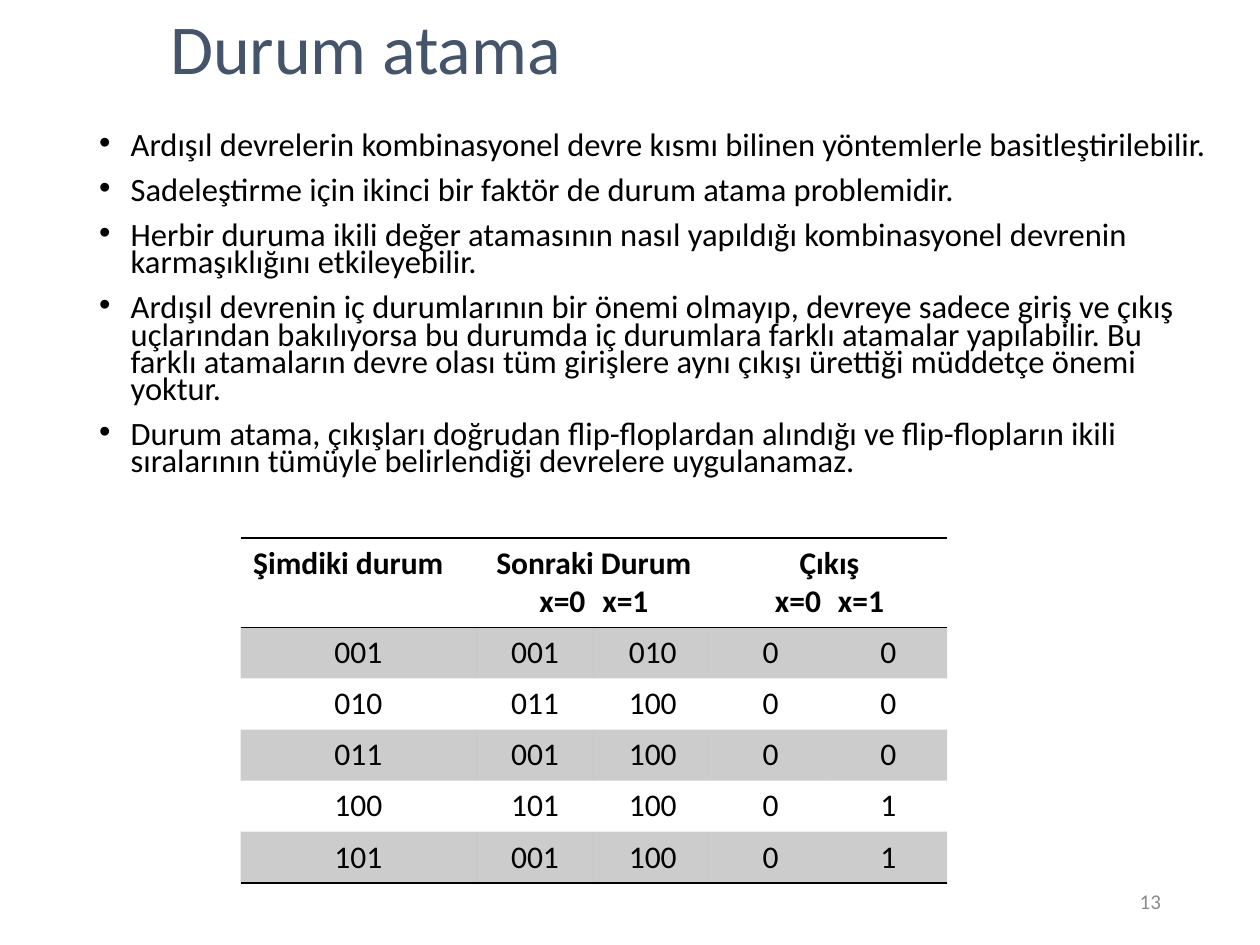
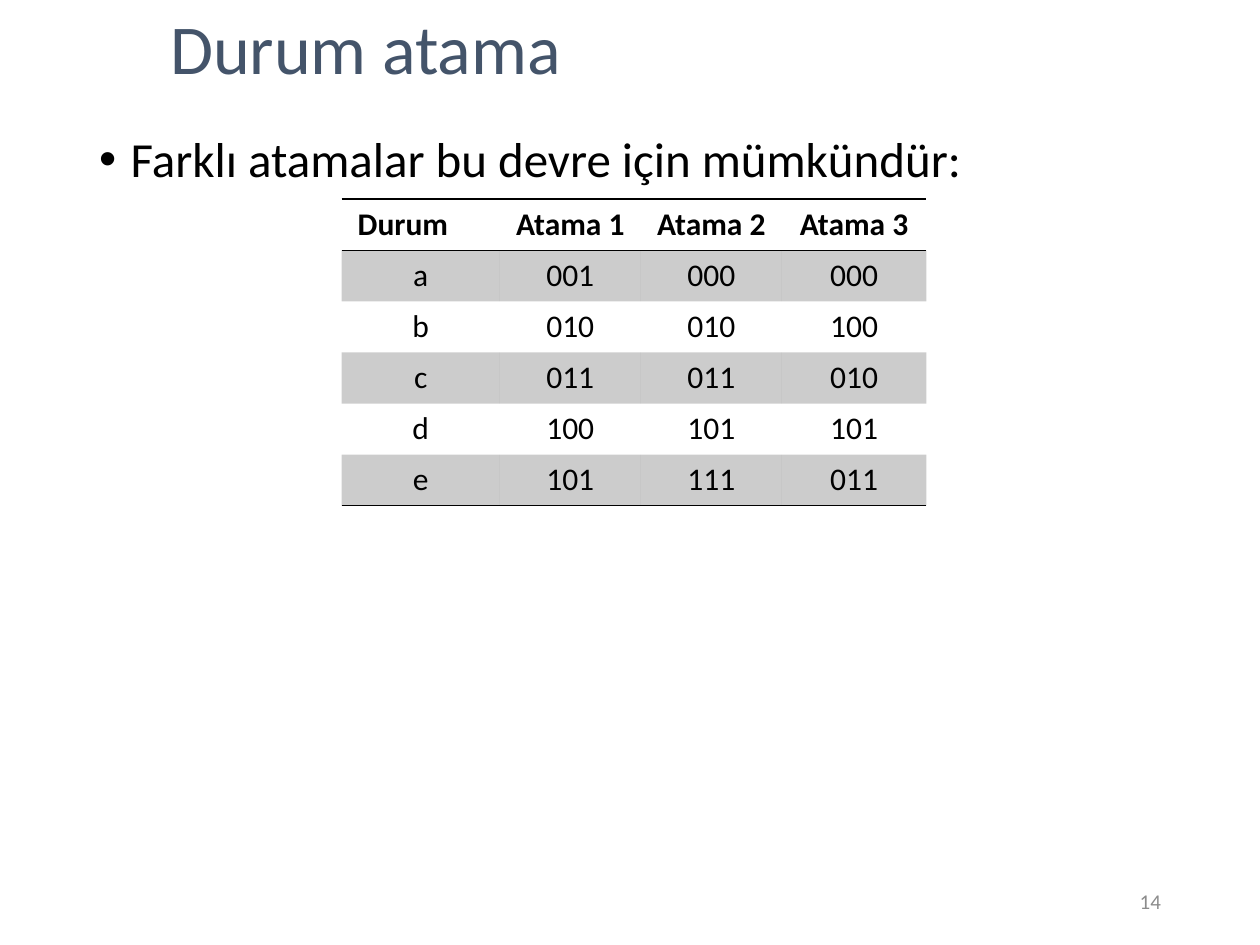
"""Build two slides on state assignment in sequential circuits."""
from lxml import etree
from pptx import Presentation
from pptx.dml.color import RGBColor
from pptx.enum.text import MSO_ANCHOR, MSO_AUTO_SIZE, PP_ALIGN
from pptx.oxml.ns import qn
from pptx.util import Pt

LEFT, CENTER, RIGHT = PP_ALIGN.LEFT, PP_ALIGN.CENTER, PP_ALIGN.RIGHT
TOP, MIDDLE, BOTTOM = MSO_ANCHOR.TOP, MSO_ANCHOR.MIDDLE, MSO_ANCHOR.BOTTOM
NO_FIT = MSO_AUTO_SIZE.NONE

FONT = "Calibri"
COLORS = {"title": "44546A", "text": "000000", "number": "8C8C8C"}
NO_STYLE = "{2D5ABB26-0587-4C30-8999-92F81FD0307C}"
TITLE_BOX = (90, 5.76, 612, 48.24)
NUMBER_BOX = (508.5, 500.5, 162, 28.75)
ROW_H = 29.2
INDENT = 18

SLIDES = [
    {
        "title": "Durum atama",
        "number": "13",
        "bullets": [
            "Ardışıl devrelerin kombinasyonel devre kısmı bilinen yöntemlerle basitleştirilebilir.",
            "Sadeleştirme için ikinci bir faktör de durum atama problemidir.",
            "Herbir duruma ikili değer atamasının nasıl yapıldığı kombinasyonel devrenin "
            "karmaşıklığını etkileyebilir.",
            "Ardışıl devrenin iç durumlarının bir önemi olmayıp, devreye sadece giriş ve çıkış "
            "uçlarından bakılıyorsa bu durumda iç durumlara farklı atamalar yapılabilir. Bu farklı "
            "atamaların devre olası tüm girişlere aynı çıkışı ürettiği müddetçe önemi yoktur.",
            "Durum atama, çıkışları doğrudan flip-floplardan alındığı ve flip-flopların ikili "
            "sıralarının tümüyle belirlendiği devrelere uygulanamaz.",
        ],
        "body": {"box": (49.5, 73.5, 652.5, 224), "size": 18.6, "spacing": 0.7},
        "table": {
            "at": (137.5, 307.3),
            "cols": [134.6, 67.3, 67.3, 67.3, 67.3],
            "header_h": 51.2,
            "merges": [(1, 2), (3, 4)],
            "rows": [
                ["Şimdiki durum\t", "Sonraki Durum\nx=0\tx=1", "", "Çıkış\nx=0\tx=1", ""],
                ["001", "001", "010", "0", "0"],
                ["010", "011", "100", "0", "0"],
                ["011", "001", "100", "0", "0"],
                ["100", "101", "100", "0", "1"],
                ["101", "001", "100", "0", "1"],
            ],
        },
    },
    {
        "title": "Durum atama",
        "number": "14",
        "bullets": ["Farklı atamalar bu devre için mümkündür:"],
        "body": {"box": (49.5, 73.5, 625.5, 420), "size": 28, "spacing": 0.9},
        "table": {
            "at": (195.2, 113.8),
            "cols": [90.4, 80.6, 80.6, 82.6],
            "header_h": ROW_H,
            "merges": [],
            "rows": [
                ["Durum\t", "Atama 1", "Atama 2", "Atama 3"],
                ["a", "001", "000", "000"],
                ["b", "010", "010", "100"],
                ["c", "011", "011", "010"],
                ["d", "100", "101", "101"],
                ["e", "101", "111", "011"],
            ],
        },
    },
]


def place(sp, box):
    sp.left, sp.top, sp.width, sp.height = map(Pt, box)


def write(tf, text, size=18, color="text", bold=False, align=LEFT, anchor=TOP,
          spacing=None, before=0, indent=0):
    tf.word_wrap = True
    tf.vertical_anchor = anchor
    tf.auto_size = NO_FIT
    for i, line in enumerate(text.split("\n")):
        p = tf.paragraphs[0] if i == 0 else tf.add_paragraph()
        p.alignment = align
        p.space_before = Pt(before)
        if spacing:
            p.line_spacing = spacing
        if indent:
            pPr = p._p.get_or_add_pPr()
            pPr.set("marL", str(Pt(indent)))
            pPr.set("indent", str(Pt(-indent)))
        r = p.add_run()
        r.text = line
        r.font.name, r.font.size, r.font.bold = FONT, Pt(size), bold
        r.font.color.rgb = RGBColor.from_string(COLORS[color])


def shade(cell, percent):
    cell.fill.solid()
    cell.fill.fore_color.rgb = RGBColor.from_string(COLORS["text"])
    clr = cell._tc.tcPr.find(".//" + qn("a:srgbClr"))
    etree.SubElement(clr, qn("a:alpha"), val=str(percent * 1000))


def rule(cell, sides):
    for i, side in enumerate(sides):
        ln = etree.Element(qn("a:ln" + side), w=str(Pt(1)))
        fill = etree.SubElement(ln, qn("a:solidFill"))
        etree.SubElement(fill, qn("a:srgbClr"), val=COLORS["text"])
        cell._tc.get_or_add_tcPr().insert(i, ln)


def add_state_table(s, at, cols, header_h, merges, rows):
    heights = [header_h] + [ROW_H] * (len(rows) - 1)
    box = (*at, sum(cols), sum(heights))
    frame = s.shapes.add_table(len(rows), len(cols), *map(Pt, box))
    table = frame.table
    table.first_row = table.horz_banding = False
    table._tbl.tblPr.find(qn("a:tableStyleId")).text = NO_STYLE
    for col, w in zip(table.columns, cols):
        col.width = Pt(w)
    for row, h in zip(table.rows, heights):
        row.height = Pt(h)
    for first, last in merges:
        table.cell(0, first).merge(table.cell(0, last))
    for i, values in enumerate(rows):
        for j, text in enumerate(values):
            cell = table.cell(i, j)
            if text:
                write(cell.text_frame, text, bold=i == 0, align=CENTER)
            if i % 2:
                shade(cell, 20)
            else:
                cell.fill.background()
            if i == 0:
                rule(cell, "TB")
            elif i == len(rows) - 1:
                rule(cell, "B")


def add_slide(prs, data):
    s = prs.slides.add_slide(prs.slide_layouts[1])
    title, body = s.placeholders
    place(title, TITLE_BOX)
    write(title.text_frame, data["title"], size=40, color="title", anchor=BOTTOM)
    fmt = data["body"]
    place(body, fmt["box"])
    write(body.text_frame, "\n".join(data["bullets"]), size=fmt["size"],
          spacing=fmt["spacing"], before=10, indent=INDENT)
    add_state_table(s, **data["table"])
    number = s.shapes.add_textbox(*map(Pt, NUMBER_BOX))
    write(number.text_frame, data["number"], size=12, color="number",
          align=RIGHT, anchor=MIDDLE)


def main():
    prs = Presentation()
    prs.slide_width, prs.slide_height = Pt(720), Pt(540)
    for data in SLIDES:
        add_slide(prs, data)
    prs.save("out.pptx")


if __name__ == "__main__":
    main()
